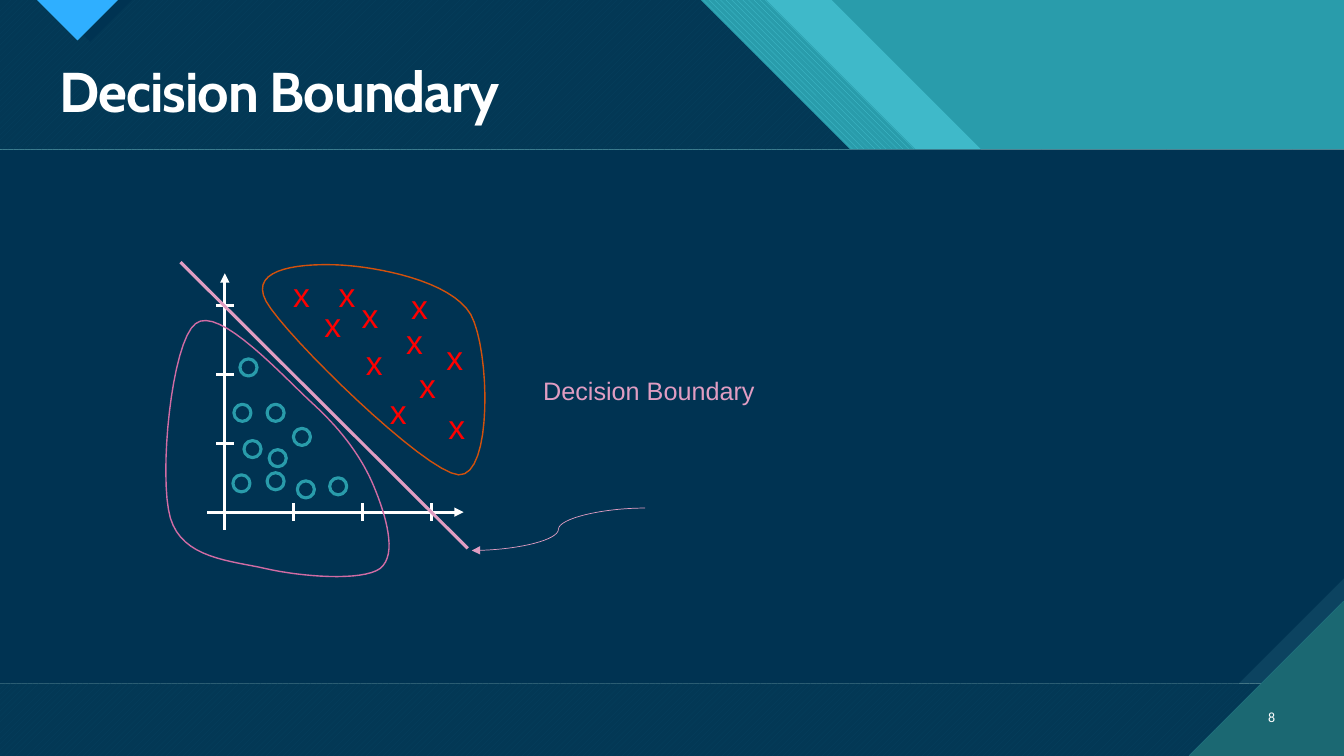
from dataclasses import dataclass

from lxml import etree
from pptx import Presentation
from pptx import util as u
from pptx.dml import color
from pptx.enum import dml, shapes, text
from pptx.oxml import ns

Pt = u.Pt
PAT = dml.MSO_PATTERN


@dataclass(frozen=True)
class Theme:
    """Colours, fonts and type sizes of the slide."""
    navy: str = "003352"
    steel: str = "0C4360"
    weave: tuple = ("07415F", "033855", PAT.WIDE_UPWARD_DIAGONAL)
    teal: str = "299CAB"
    aqua: str = "3FB9C9"
    hatch: tuple = ("47C3D3", "299CAB", PAT.WIDE_DOWNWARD_DIAGONAL)
    edge: tuple = ("0C4360", "1B6872", PAT.DARK_VERTICAL)
    nook: tuple = ("1B6872", "47C3D3", PAT.DARK_HORIZONTAL)
    tab: tuple = ("2FAFFF", "1B6872", PAT.DARK_HORIZONTAL)
    white: str = "FFFFFF"
    red: str = "FF0000"
    pink: str = "E09DC2"
    rose: str = "D16CA4"
    rust: str = "D3510C"
    head: str = "Cabin"
    body: str = "Arial"
    foot: str = "Calibri"
    big: int = 40
    mark: int = 24
    note: int = 18
    small: int = 10


T = Theme()
RINGS = [(5.8, -26.6), (13.7, -51.1), (6.5, -77), (31.7, -44.6), (30.2, -77),
         (30.2, -28.1), (10.8, -109.4), (51.8, -22.3), (74.9, -24.5), (49, -59.8)]
CROSSES = [(74.2, -173.5), (64.1, -151.9), (90.7, -158.4), (93.6, -125.3),
           (126, -164.9), (122.4, -140.4), (131.8, -108.7), (41.8, -173.5),
           (152.6, -79.2), (151.2, -128.9), (110.9, -90)]
UPPER = [(83.5, -176.4), (108, -175), (161.3, -165.6), (175.7, -141.1),
         (189.4, -115.9), (191.5, -25.2), (167, -26.6), (143.3, -28.1),
         (43.2, -126), (29.5, -150.5), (15.8, -175.7), (59, -177.8), (83.5, -176.4)]
LOWER = [(64.1, -76.3), (85, -56.9), (98.6, -37.4), (106.6, -18),
         (114.5, 1.4), (123.8, 30.2), (110.9, 40.3), (97.9, 49.7),
         (54, 46.1), (28.8, 40.3), (3.6, 34.6), (-30.2, 33.1), (-38.9, 4.3),
         (-47.5, -25.2), (-38.2, -121.7), (-20.9, -134.6), (-4.3, -148.3),
         (42.5, -95.8), (64.1, -76.3)]


def rgb(code):
    """Turn a hex code into a colour."""
    return color.RGBColor.from_string(code)


def paint(shape, fill=None, line=None, width=1):
    """Set the fill (plain, pattern or none) and outline of a shape."""
    shape.shadow.inherit = False
    if fill is None:
        shape.fill.background()
    elif isinstance(fill, tuple):
        fore, back, kind = fill
        shape.fill.patterned()
        shape.fill.pattern = kind
        shape.fill.fore_color.rgb = rgb(fore)
        shape.fill.back_color.rgb = rgb(back)
    else:
        shape.fill.solid()
        shape.fill.fore_color.rgb = rgb(fill)
    if line:
        shape.line.color.rgb = rgb(line)
        shape.line.width = Pt(width)
    else:
        shape.line.fill.background()


def poly(slide, base, pts, **look):
    """Draw a closed outline through points given relative to base."""
    spots = [(Pt(base[0] + x), Pt(base[1] + y)) for x, y in pts]
    pen = slide.shapes.build_freeform(*spots[0])
    pen.add_line_segments(spots[1:], close=True)
    paint(pen.convert_to_shape(), **look)


def block(slide, box, kind=shapes.MSO_SHAPE.RECTANGLE, **look):
    """Draw a preset shape in a box."""
    paint(slide.shapes.add_shape(kind, *map(Pt, box)), **look)


def smooth(pts, steps=16):
    """Sample a chain of cubic curves."""
    out = []
    for i in range(0, len(pts) - 1, 3):
        for k in range(steps):
            t = k / steps
            mix = ((1 - t) ** 3, 3 * t * (1 - t) ** 2, 3 * t * t * (1 - t), t ** 3)
            out.append(tuple(sum(m * p[a] for m, p in zip(mix, pts[i:i + 4]))
                             for a in (0, 1)))
    return out


def link(slide, base, start, end, tint, width=2.25, tip=False,
         kind=shapes.MSO_CONNECTOR.STRAIGHT):
    """Draw a line between two points relative to base."""
    ends = [Pt(b + p) for spot in (start, end) for b, p in zip(base, spot)]
    line = slide.shapes.add_connector(kind, *ends)
    line.line.color.rgb = rgb(tint)
    line.line.width = Pt(width)
    if tip:
        etree.SubElement(line.line._get_or_add_ln(), ns.qn("a:tailEnd"), type="triangle")
    etree.SubElement(line._element.spPr, ns.qn("a:effectLst"))


def label(slide, box, words, font, size, tint, wrap=True):
    """Write one line of text and return its paragraph and frame."""
    frame = slide.shapes.add_textbox(*map(Pt, box)).text_frame
    frame.word_wrap = wrap
    para = frame.paragraphs[0]
    para.text = words
    para.font.name, para.font.size = font, Pt(size)
    para.font.color.rgb = rgb(tint)
    return para, frame


def header(slide, box, words):
    """Draw the top band with its slanted stripes, tab and title."""
    x, y, w, h = box
    block(slide, box, fill=T.teal)
    for side, fill in ((594, T.aqua), (547.2, T.hatch), (500.4, T.weave)):
        poly(slide, (x, y), [(0, 0), (side, 0), (side + h, h), (0, h)], fill=fill)
    for left, right, fill in ((34.6, 94.3, T.navy), (26.6, 84.2, T.tab)):
        half = (right - left) / 2
        poly(slide, (x, y), [(left, 0), (right, 0), (left + half, half)], fill=fill)
    para, _ = label(slide, (x + 35.3, y + 42.5, w - 77.3, 51.1), words,
                    T.head, T.big, T.white)
    para.font.bold = True
    para.line_spacing = 0.9
    para.runs[0].font._element.set("spc", "-70")


def panel(slide, box):
    """Draw the dark body with its cut corner."""
    x, y, w, h = box
    cut = 75.2
    block(slide, box, fill=T.edge)
    poly(slide, (x, y), [(0, 0), (w, 0), (w, h - cut), (w - cut, h), (0, h)], fill=T.navy)


def footer(slide, box, number):
    """Draw the bottom corner and the page number."""
    x, y, w, h = box
    side = 111
    poly(slide, (x + w, y + h), [(-side, 0), (0, 0), (0, -side)], fill=T.nook)
    para, frame = label(slide, (x + w - 73.7, y + 9.4, 31.7, 28.8), number,
                        T.foot, T.small, T.white)
    para.alignment = text.PP_ALIGN.RIGHT
    frame.vertical_anchor = text.MSO_ANCHOR.MIDDLE


def plot(slide, box):
    """Draw the axes, both classes and the line that parts them."""
    base = x, y = box[0] + 44, box[1] + 178.8
    step, tick = 49.2, 6.3
    link(slide, base, (-12.5, 0), (170.6, 0), T.white, tip=True)
    link(slide, base, (0, 12.5), (0, -170.6), T.white, tip=True)
    for i in (1, 2, 3):
        link(slide, base, (i * step, tick), (i * step, -tick), T.white)
        link(slide, base, (tick, -i * step), (-tick, -i * step), T.white)
    for dx, dy in RINGS:
        block(slide, (x + dx, y + dy, 12.2, 12.2), shapes.MSO_SHAPE.OVAL,
              line=T.teal, width=2.25)
    for dx, dy in CROSSES:
        label(slide, (x + dx, y + dy, 26.6, 36), "x", T.body, T.mark, T.red, wrap=False)
    poly(slide, base, smooth(UPPER), line=T.rust)
    poly(slide, base, smooth(LOWER), line=T.rose)
    label(slide, (x + 220.3, y - 101.5, 167, 28.8), "Decision Boundary",
          T.body, T.note, T.pink)
    link(slide, base, (-31.7, -178.6), (173.5, 25.9), T.pink)
    link(slide, base, (300.2, -2.9), (176.4, 27.4), T.pink, 0.5, True,
         shapes.MSO_CONNECTOR.CURVE)


def main():
    """Build and save the slide."""
    deck = Presentation()
    wide, high, top, low = 960, 540, 106.8, 488.2
    deck.slide_width, deck.slide_height = Pt(wide), Pt(high)
    slide = deck.slides.add_slide(deck.slide_layouts[6])
    base = (0, low, wide, high - low)
    block(slide, base, fill=T.weave)
    header(slide, (0, 0, wide, top), "Decision Boundary")
    panel(slide, (0, top, wide, low - top))
    footer(slide, base, "8")
    plot(slide, (116.6, 187, 431.4, 228.5))
    deck.save("out.pptx")


if __name__ == "__main__":
    main()
